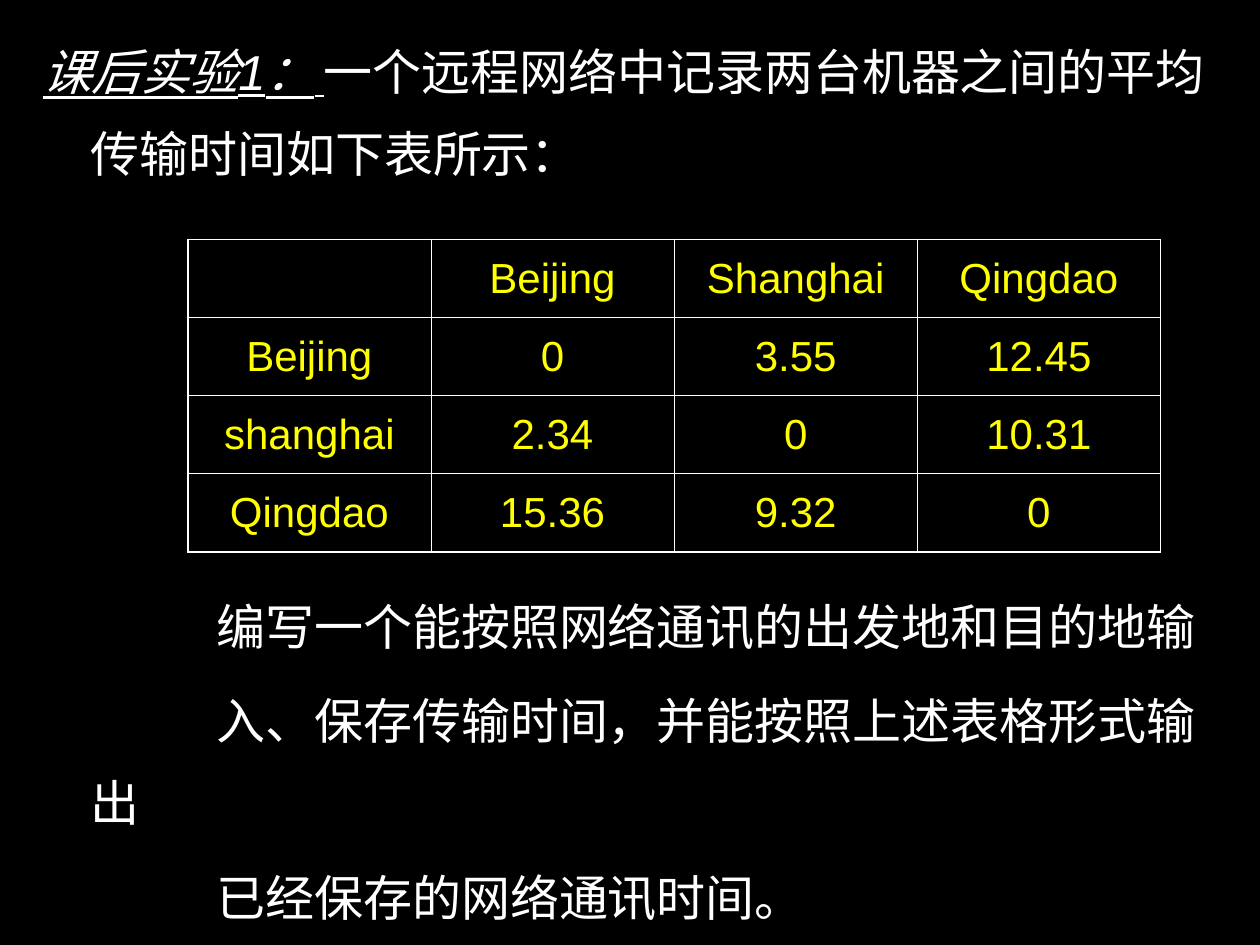
from lxml import etree
from pptx import Presentation, util as u
from pptx.dml.color import RGBColor
from pptx.enum import text
from pptx.oxml.ns import qn

WHITE, YELLOW, BLACK = "FFFFFF", "FFFF00", "000000"
OUTER, INNER = 1.08, 0.45  # border widths in points


def paint(target, color):
    target.solid()
    target.fore_color.rgb = RGBColor.from_string(color)


def set_font(run, size, color):
    run.font.name = "Arial"
    run.font.size = u.Pt(size)
    paint(run.font.fill, color)


deck = Presentation()
deck.slide_width, deck.slide_height = u.Inches(10), u.Inches(7.5)
slide = deck.slides.add_slide(deck.slide_layouts[6])
paint(slide.background.fill, BLACK)

# Exercise text: a hanging opening, then the indented task below the table
exercise = slide.shapes.add_textbox(
    u.Inches(0.24), u.Inches(0.09), u.Inches(9.45), u.Inches(7.28)).text_frame
exercise.word_wrap = True
opening = [("课后实验1：", 28, True), (" ", 24, True),
           ("一个远程网络中记录两台机器之间的平均传输时间如下表所示：", 28, False)]
table_gap = 223
paragraphs = [
    (0, -0.38, opening),
    (table_gap, 1, [("编写一个能按照网络通讯的出发地和目的地输", 28, False)]),
    (7, 1, [("入、保存传输时间，并能按照上述表格形式输出", 28, False)]),
    (7, 1, [("已经保存的网络通讯时间。", 28, False)]),
]
for index, (gap, first_indent, pieces) in enumerate(paragraphs):
    line = exercise.paragraphs[0] if index == 0 else exercise.add_paragraph()
    line.line_spacing = 1.4
    line.space_before = u.Pt(gap)
    props = line._p.get_or_add_pPr()
    props.set("marL", str(u.Inches(0.38)))
    props.set("indent", str(u.Inches(first_indent)))
    for words, size, marked in pieces:
        run = line.add_run()
        run.text = words
        set_font(run, size, WHITE)
        run.font.italic = run.font.underline = marked

# Table of transfer times
times = [
    ["", "Beijing", "Shanghai", "Qingdao"],
    ["Beijing", "0", "3.55", "12.45"],
    ["shanghai", "2.34", "0", "10.31"],
    ["Qingdao", "15.36", "9.32", "0"],
]
last = len(times) - 1
grid = slide.shapes.add_table(
    len(times), len(times[0]),
    u.Inches(1.49), u.Inches(1.9), u.Inches(7.72), u.Inches(2.48)).table
grid.first_row = grid.horz_banding = False
for r, row in enumerate(times):
    for c, value in enumerate(row):
        cell = grid.cell(r, c)
        cell.vertical_anchor = text.MSO_ANCHOR.MIDDLE
        cell.text_frame.text = value
        entry = cell.text_frame.paragraphs[0]
        entry.alignment = text.PP_ALIGN.CENTER
        for run in entry.runs:
            set_font(run, 24, YELLOW)
        # Heavier lines on the outside edge
        edges = {"a:lnL": c == 0, "a:lnR": c == last,
                 "a:lnT": r == 0, "a:lnB": r == last}
        for tag, outside in edges.items():
            width = u.Pt(OUTER if outside else INNER)
            border = etree.SubElement(cell._tc.get_or_add_tcPr(), qn(tag), w=str(width))
            fill = etree.SubElement(border, qn("a:solidFill"))
            etree.SubElement(fill, qn("a:srgbClr"), val=WHITE)
        cell.fill.background()

deck.save("out.pptx")
